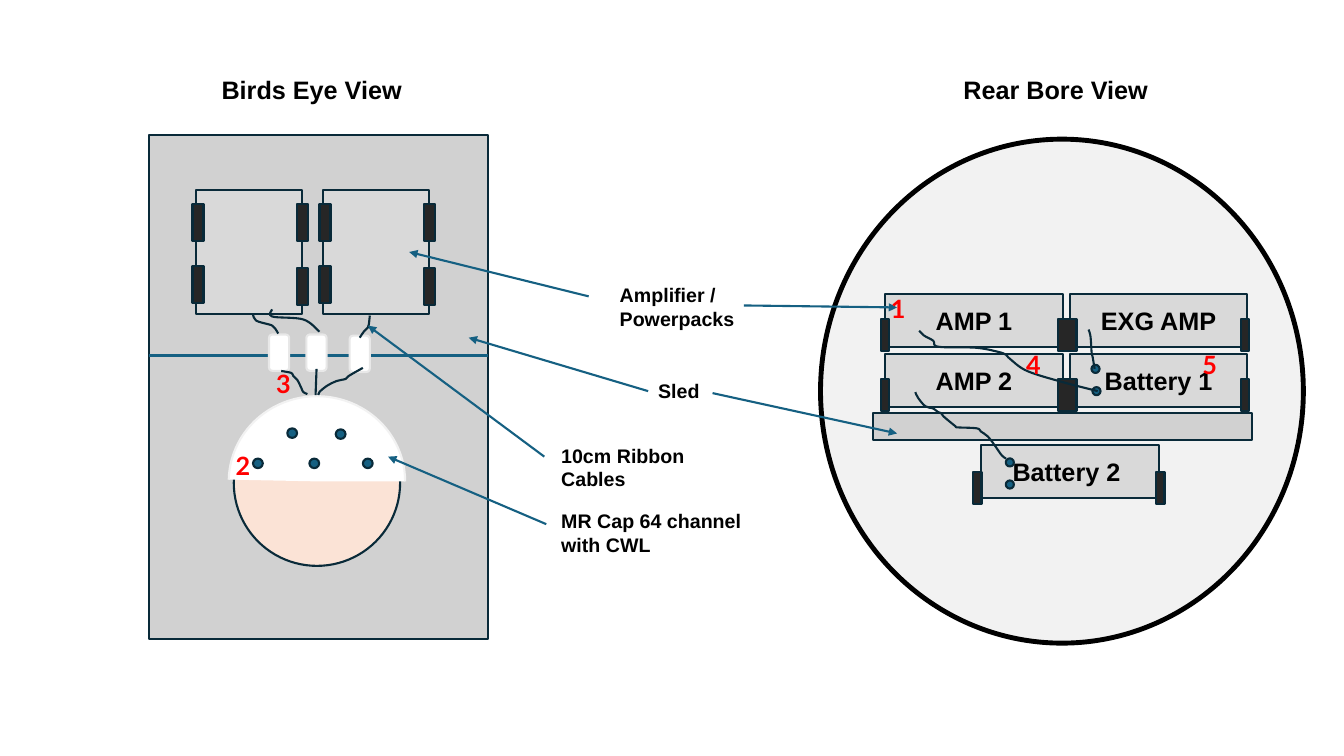
"""Build a slide showing the amplifier, sled and cap layout from above and from the rear of the bore."""
import pptx
import pptx.util
import pptx.dml.color
import pptx.enum.shapes
import pptx.enum.text
from pptx.oxml import parse_xml
from pptx.oxml.ns import nsdecls, qn

Pt = pptx.util.Pt
SHAPE = pptx.enum.shapes.MSO_SHAPE

THEME = {
    "sled": "D1D1D1", "box": "D9D9D9", "foot": "262626", "skin": "FBE3D6",
    "white": "FFFFFF", "bore": "F2F2F2", "dot": "156082", "edge": "092A39",
    "connector_edge": "E8E8E8", "ink": "000000", "mark": "FF0000",
    "font": "Arial", "mark_font": "Lato", "big": 18, "small": 14,
    "thin": 1.5, "thick": 3.5,
}

SLED = (106.6, 96.5, 241.7, 360)
DIVIDER_Y = 253.9
TOP_AMP_LEFTS, TOP_AMP_Y, TOP_AMP_SIZE = (140.2, 230.9), 135.7, (75.6, 88.9)
TOP_FEET, TOP_FOOT_SIZE = [(72.2, 55.9), (72.2, 9.8), (-2.7, 54.4), (-2.7, 9.8)], (7.9, 26.6)
HEAD = (167, 285.8, 118.8, 118.4)
CAP, CAP_ANGLES = (163.4, 283, 126, 121.7), (108.69, 0)
ELECTRODES = [(180.7, 327.6), (221, 327.6), (239.8, 306.7), (205.2, 306), (259.2, 327.6)]
ELECTRODE_SIZE = (7, 6.8)
PLUGS, PLUG_SIZE = [(192.2, 239), (218.9, 239), (249.8, 239.8)], (14.4, 25.9)
TOP_CABLES = [
    [(200.9, 265), (208.1, 266.4), (209.5, 268.6), (212.4, 271.4), (215.3, 277.2),
     (216.7, 280.1), (219.6, 281.5)],
    [(226.1, 263.5), (225.4, 282.2)],
    [(259.2, 262.8), (249.1, 268.6), (247, 270.7), (240.5, 272.2), (233.3, 275.8),
     (228.2, 280.1), (227.5, 282.2)],
    [(180.7, 224.6), (182.9, 229), (192.2, 231.8), (194.4, 232.6), (196.6, 234.7), (198.7, 238.3)],
    [(228.2, 236.9), (216.7, 228.2), (194.4, 226.1), (194.4, 221)],
    [(257, 241.2), (259.9, 236.9), (262.8, 234), (263.5, 231.8), (264.2, 225.4)],
]

BORE = (586.1, 99.4, 344.9, 360)
TRAY = (623.5, 295.2, 270.7, 19.4)
UNIT_SIZE = (126.9, 37.9)
LOWER_UNIT = ("Battery 2 ", 700.8, 318)
LOWER_FEET = [(695.3, 337), (826, 337)]
LOWER_PORTS = [(718.4, 327.4), (718.4, 343.2)]
UNIT_LEFTS = (632.2, 764.1)
UNIT_ROWS = [(252.7, ("AMP 2", "Battery 1")), (210, ("AMP 1", "EXG AMP"))]
ROW_FEET, FOOT_DROP, FOOT_H, FOOT_W = [(886.5, 5.8), (755.5, 13.5), (629.3, 5.8)], 18, 23, 5.8
PORTS, PORT_SIZE = [(779.6, 260.6), (780.3, 276.5)], (5.8, 5.8)
REAR_CABLES = [
    [(718.6, 327.6), (715.7, 325.4), (712.1, 320.4), (710.6, 318.2), (705.6, 311.8),
     (700.6, 308.2), (697.7, 306), (684, 305.3), (682.6, 304.6), (673.9, 297.4),
     (672.5, 295.2), (670.3, 294.5), (667.4, 292.3), (666, 291.6), (661, 290.2),
     (655.9, 284.4), (653.8, 280.1)],
    [(781.9, 263.5), (780.5, 254.9), (779.8, 252), (779, 240.5), (777.6, 235.4)],
    [(784.1, 279.4), (758.9, 272.9), (733.7, 265), (721.4, 256.3), (718.6, 253.4),
     (712.8, 251.3), (697, 248.4), (670.3, 247.7), (666.7, 243.4), (660.2, 239.8),
     (656.6, 236.2)],
]

HEADINGS = [("Birds Eye View", (151.2, 49.7, 177.1, 28.8)),
            ("Rear Bore View", (681.1, 49.7, 177.1, 28.8))]
LABELS = [("Amplifier / Powerpacks", (435.6, 198.7, 146.9, 41)),
          ("Sled", (463, 267.1, 180, 24.5)),
          ("MR Cap 64 channel with CWL", (393.8, 360, 146.9, 41)),
          ("10cm Ribbon Cables", (393.8, 313.2, 146.9, 41))]
ARROWS = [(463, 279.4, 334.8, 241.2), (509, 280.8, 640.8, 309.6),
          (420.5, 211.7, 292.3, 180), (531.4, 218.2, 640.8, 219.6),
          (390.2, 374.4, 277.2, 326.2), (388.8, 326.2, 262.8, 232.6)]
MARKS = [(629.3, 205.9), (161.3, 318.2), (190.1, 259.9), (725.8, 246.2), (851.8, 246.2)]
MARK_SIZE = (24.5, 28.8)


def color(name):
    return pptx.dml.color.RGBColor.from_string(THEME[name])


def outline(sp, edge, width):
    sp.line.color.rgb = color(edge)
    sp.line.width = Pt(THEME[width])


def write(sp, text, size="big", font="font", ink="ink", align=None, wrap=True):
    tf = sp.text_frame
    tf.word_wrap = wrap
    p = tf.paragraphs[0]
    p.alignment = align
    r = p.add_run()
    r.text = text
    r.font.name = THEME[font]
    r.font.size = Pt(THEME[size])
    r.font.bold = True
    r.font.color.rgb = color(ink)


def add_label(s, text, box, **fmt):
    sp = s.add_textbox(*map(Pt, box))
    write(sp, text, **fmt)
    sp.text_frame.auto_size = pptx.enum.text.MSO_AUTO_SIZE.SHAPE_TO_FIT_TEXT


def add_part(s, kind, box, fill, edge="edge", width="thin"):
    sp = s.add_shape(kind, *map(Pt, box))
    sp.shadow.inherit = False
    sp.fill.solid()
    sp.fill.fore_color.rgb = color(fill)
    outline(sp, edge, width)
    return sp


def add_parts(s, kind, spots, size, fill, edge="edge"):
    for spot in spots:
        add_part(s, kind, (*spot, *size), fill, edge)


def add_unit(s, text, left, top):
    sp = add_part(s, SHAPE.RECTANGLE, (left, top, *UNIT_SIZE), "box")
    sp.text_frame.vertical_anchor = pptx.enum.text.MSO_ANCHOR.MIDDLE
    write(sp, text, align=pptx.enum.text.PP_ALIGN.CENTER)


def add_line(s, ends, arrow=False):
    ln = s.add_connector(pptx.enum.shapes.MSO_CONNECTOR.STRAIGHT, *map(Pt, ends))
    outline(ln, "dot", "thin")
    pr = ln._element.spPr
    if arrow:
        pr.find(qn("a:ln")).append(parse_xml(f'<a:tailEnd {nsdecls("a")} type="triangle"/>'))
    pr.append(parse_xml(f'<a:effectLst {nsdecls("a")}/>'))


def curve(sp):
    """Turn the straight segments of a freeform into Catmull-Rom curves."""
    knots = [(int(pt.get("x")), int(pt.get("y"))) for pt in sp._element.iter(qn("a:pt"))]
    padded = [knots[0], *knots, knots[-1]]
    segments = list(sp._element.iter(qn("a:lnTo")))
    for segment, a, b, c, d in zip(segments, padded, padded[1:], padded[2:], padded[3:]):
        leave = [q + (r - p) / 6 for p, q, r in zip(a, b, c)]
        arrive = [r - (u - q) / 6 for q, r, u in zip(b, c, d)]
        pts = "".join(f'<a:pt x="{round(x)}" y="{round(y)}"/>' for x, y in (leave, arrive, c))
        bezier = parse_xml(f'<a:cubicBezTo {nsdecls("a")}>{pts}</a:cubicBezTo>')
        segment.getparent().replace(segment, bezier)


def add_cables(s, cables):
    for knots in cables:
        start, *rest = [(Pt(x), Pt(y)) for x, y in knots]
        fb = s.build_freeform(*start, scale=1.0)
        fb.add_line_segments(rest, close=False)
        sp = fb.convert_to_shape()
        curve(sp)
        sp.shadow.inherit = False
        sp.fill.background()
        outline(sp, "edge", "thin")


def draw_birds_eye(s):
    add_part(s, SHAPE.RECTANGLE, SLED, "sled")
    for left in TOP_AMP_LEFTS:
        add_part(s, SHAPE.RECTANGLE, (left, TOP_AMP_Y, *TOP_AMP_SIZE), "box")
        feet = [(left + dx, TOP_AMP_Y + dy) for dx, dy in TOP_FEET]
        add_parts(s, SHAPE.RECTANGLE, feet, TOP_FOOT_SIZE, "foot")
    add_part(s, SHAPE.OVAL, HEAD, "skin")
    add_line(s, (SLED[0], DIVIDER_Y, SLED[0] + SLED[2], DIVIDER_Y))
    cap = add_part(s, SHAPE.ARC, CAP, "white", "bore")
    for i, angle in enumerate(CAP_ANGLES):
        cap.adjustments[i] = angle
    add_parts(s, SHAPE.OVAL, ELECTRODES, ELECTRODE_SIZE, "dot")
    add_parts(s, SHAPE.ROUNDED_RECTANGLE, PLUGS, PLUG_SIZE, "white", "connector_edge")
    add_cables(s, TOP_CABLES)


def draw_rear_bore(s):
    add_part(s, SHAPE.OVAL, BORE, "bore", "ink", "thick")
    add_part(s, SHAPE.RECTANGLE, TRAY, "sled")
    add_unit(s, *LOWER_UNIT)
    add_parts(s, SHAPE.OVAL, LOWER_PORTS, PORT_SIZE, "dot")
    add_parts(s, SHAPE.RECTANGLE, LOWER_FEET, (FOOT_W, FOOT_H), "foot")
    for top, names in UNIT_ROWS:
        for name, left in zip(names, UNIT_LEFTS):
            add_unit(s, name, left, top)
        for left, width in ROW_FEET:
            add_part(s, SHAPE.RECTANGLE, (left, top + FOOT_DROP, width, FOOT_H), "foot")
    add_parts(s, SHAPE.OVAL, PORTS, PORT_SIZE, "dot")
    add_cables(s, REAR_CABLES)


def main():
    prs = pptx.Presentation()
    prs.slide_width, prs.slide_height = Pt(960), Pt(540)
    s = prs.slides.add_slide(prs.slide_layouts[6]).shapes
    draw_birds_eye(s.add_group_shape().shapes)
    draw_rear_bore(s.add_group_shape().shapes)
    for text, box in HEADINGS:
        add_label(s, text, box)
    for text, box in LABELS:
        add_label(s, text, box, size="small")
    for ends in ARROWS:
        add_line(s, ends, arrow=True)
    for number, spot in enumerate(MARKS, 1):
        add_label(s, str(number), (*spot, *MARK_SIZE), font="mark_font", ink="mark", wrap=False)
    prs.save("out.pptx")


if __name__ == "__main__":
    main()
